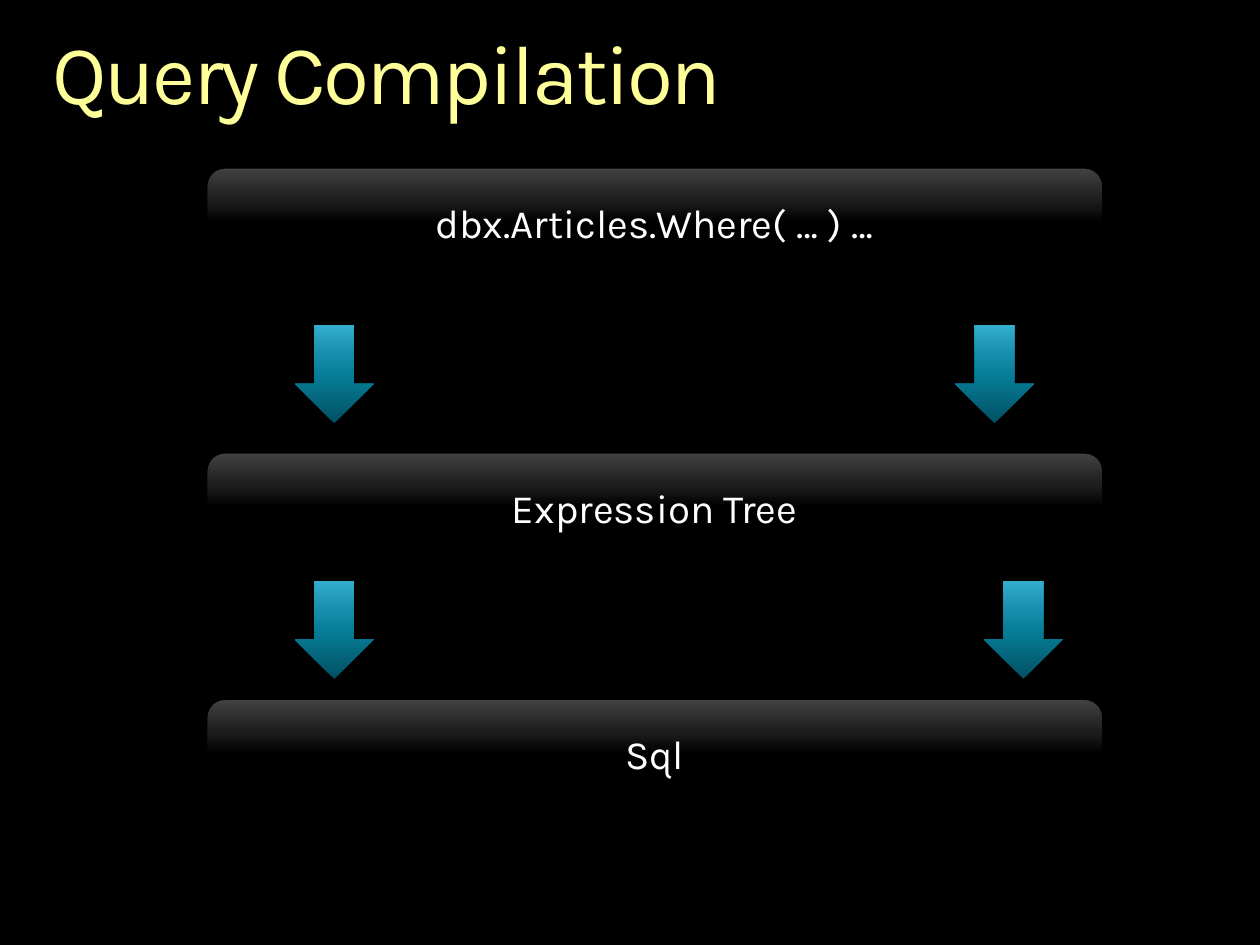
from dataclasses import dataclass

from lxml.etree import SubElement
from pptx import Presentation
from pptx.dml.color import RGBColor
from pptx.enum.shapes import MSO_SHAPE
from pptx.enum.text import MSO_ANCHOR, MSO_AUTO_SIZE, PP_ALIGN
from pptx.oxml.ns import qn
from pptx.shapes.autoshape import Shape
from pptx.slide import Slide
from pptx.text.text import _Paragraph as Para
from pptx.util import Pt

FACE = "Karla"
HEX = {
    "back": "000000",
    "title": "FFFF99",
    "text": "FFFFFF",
    "line": "000000",
}
STOPS = (0, 50, 70, 100)
BAR = ("000000", "000000", "1D1D1D", "424242")
TEAL = ("015062", "077E99", "178EAB", "35ADCE")


@dataclass
class Stage:
    text: str
    top: float


@dataclass
class Arrow:
    left: float
    top: float


STAGES = (
    Stage("dbx.Articles.Where( … ) …", 96),
    Stage("Expression Tree", 258.8),
    Stage("Sql", 399.6),
)
ARROWS = (
    Arrow(562.3, 331.9),
    Arrow(545.8, 185.8),
    Arrow(168.5, 331.9),
    Arrow(168.5, 185.8),
)


def color(name: str) -> RGBColor:
    return RGBColor.from_string(HEX[name])


def style(para: Para, size: float, name: str, align: PP_ALIGN) -> None:
    para.alignment = align
    para.font.name = FACE
    para.font.size = Pt(size)
    para.font.color.rgb = color(name)


def shade(shape: Shape, tones: tuple[str, ...]) -> None:
    shape.shadow.inherit = False
    shape.fill.gradient()
    shape.fill.gradient_angle = 90
    stops = next(shape.element.spPr.iter(qn("a:gsLst")))
    for stop in list(stops):
        stops.remove(stop)
    for spot, tone in zip(STOPS, tones):
        stop = SubElement(stops, qn("a:gs"), pos=str(spot * 1000))
        SubElement(stop, qn("a:srgbClr"), val=tone)


def add_title(slide: Slide, text: str) -> None:
    title = slide.shapes.title
    title.left, title.top = Pt(30), Pt(18)
    title.width, title.height = Pt(660), Pt(52.5)
    frame = title.text_frame
    frame.text = text
    frame.word_wrap = True
    frame.auto_size = MSO_AUTO_SIZE.SHAPE_TO_FIT_TEXT
    frame.vertical_anchor = MSO_ANCHOR.TOP
    frame.margin_left = frame.margin_right = Pt(0)
    frame.margin_top = frame.margin_bottom = Pt(0)
    para = frame.paragraphs[0]
    para.line_spacing = 0.9
    style(para, 48, "title", PP_ALIGN.LEFT)
    next(title.element.iter(qn("a:defRPr"))).set("spc", "-150")


def add_stage(slide: Slide, stage: Stage) -> None:
    box = slide.shapes.add_shape(
        MSO_SHAPE.ROUNDED_RECTANGLE, Pt(118.2), Pt(stage.top), Pt(512), Pt(62)
    )
    shade(box, BAR)
    box.line.color.rgb = color("line")
    box.line.width = Pt(0.75)
    frame = box.text_frame
    frame.text = stage.text
    frame.word_wrap = True
    frame.vertical_anchor = MSO_ANCHOR.MIDDLE
    style(frame.paragraphs[0], 23, "text", PP_ALIGN.CENTER)


def add_arrow(slide: Slide, arrow: Arrow) -> None:
    shape = slide.shapes.add_shape(
        MSO_SHAPE.DOWN_ARROW, Pt(arrow.left), Pt(arrow.top), Pt(45), Pt(56)
    )
    shade(shape, TEAL)
    shape.line.fill.background()


def main() -> None:
    deck = Presentation()
    deck.slide_width, deck.slide_height = Pt(720), Pt(540)
    slide = deck.slides.add_slide(deck.slide_layouts[5])
    slide.background.fill.solid()
    slide.background.fill.fore_color.rgb = color("back")
    add_title(slide, "Query Compilation")
    for stage in STAGES:
        add_stage(slide, stage)
    for arrow in ARROWS:
        add_arrow(slide, arrow)
    deck.save("out.pptx")


if __name__ == "__main__":
    main()
